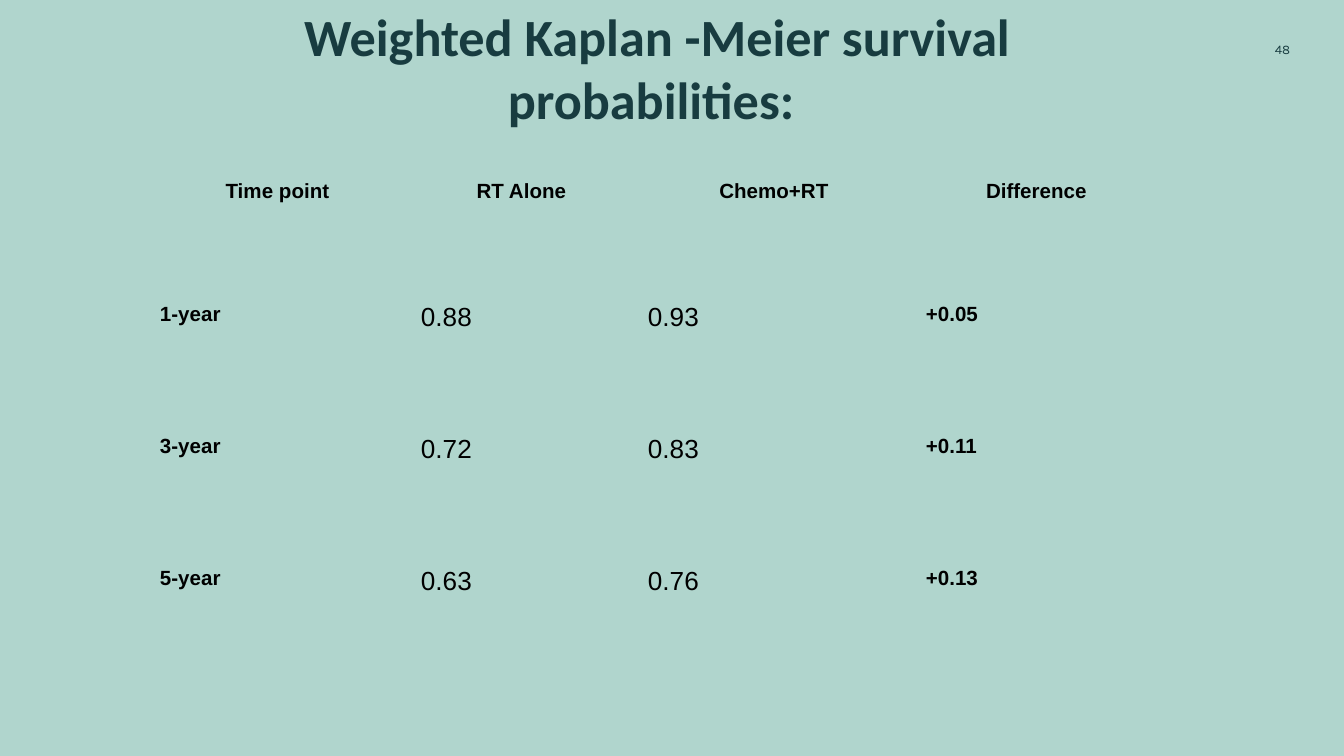
from pptx import Presentation
from pptx import util as u
from pptx.dml.color import RGBColor
from pptx.enum import text

PX = 914400 / 134.4
PLAIN_TABLE_STYLE = "{2D5ABB26-0587-4C30-8999-92F81FD0307C}"
TEAL = "183C40"
BLACK = "000000"
HEADER = ("Time point", "RT Alone", "Chemo+RT", "Difference")
SURVIVAL = (
    ("1-year", "0.88", "0.93", "+0.05"),
    ("3-year", "0.72", "0.83", "+0.11"),
    ("5-year", "0.63", "0.76", "+0.13"),
)
COLUMN_WIDTHS = (261, 227, 278, 247)
ROW_HEIGHTS = (126, 132, 132, 132)


def px(length):
    return u.Emu(round(length * PX))


def color(hex_value):
    return RGBColor.from_string(hex_value)


def format_text(para, size, font, hex_value, bold=False, align=None):
    para.alignment = align
    for span in para.runs:
        span.font.size = u.Pt(size)
        span.font.name = font
        span.font.bold = bold
        span.font.color.rgb = color(hex_value)


def set_margins(frame, left, top, right, bottom):
    frame.margin_left, frame.margin_top = px(left), px(top)
    frame.margin_right, frame.margin_bottom = px(right), px(bottom)


def add_title(page, words):
    """Fill the title placeholder; its margins lift the text above the table."""
    title = page.shapes.title
    title.left, title.top, title.width, title.height = map(px, (165, 32, 1012, 190))
    frame = title.text_frame
    frame.text = words
    frame.word_wrap = True
    frame.auto_size = text.MSO_AUTO_SIZE.NONE
    frame.vertical_anchor = text.MSO_ANCHOR.MIDDLE
    set_margins(frame, 0, 0, 28, 120)
    para = frame.paragraphs[0]
    para.line_spacing = 1.0
    format_text(para, 28, "Calibri", TEAL, True, text.PP_ALIGN.CENTER)


def add_page_number(page, number):
    box = page.shapes.add_textbox(px(1210), px(32), px(80), px(35))
    frame = box.text_frame
    frame.text = number
    frame.word_wrap = True
    frame.vertical_anchor = text.MSO_ANCHOR.MIDDLE
    set_margins(frame, 0, 13, 0, 13)
    format_text(frame.paragraphs[0], 7, "Karla", TEAL, align=text.PP_ALIGN.RIGHT)


def fill_cell(cell, words, is_header, is_value):
    cell.text = words
    cell.fill.background()
    set_margins(cell, 13, 13, 13, 13)
    para = cell.text_frame.paragraphs[0]
    if is_header:
        para.line_spacing = 1.15
    align = text.PP_ALIGN.CENTER if is_header else text.PP_ALIGN.LEFT
    format_text(para, 14 if is_value else 11, "Arial", BLACK, not is_value, align)


def add_survival_table(page):
    rows = (HEADER, *SURVIVAL)
    frame = page.shapes.add_table(len(rows), len(HEADER), px(147), px(164),
                                  px(sum(COLUMN_WIDTHS)), px(sum(ROW_HEIGHTS)))
    table = frame.table
    table.first_row = table.horz_banding = False
    table._tbl.tblPr.find("{*}tableStyleId").text = PLAIN_TABLE_STYLE
    for column, width in zip(table.columns, COLUMN_WIDTHS):
        column.width = px(width)
    for r, (row, height) in enumerate(zip(rows, ROW_HEIGHTS)):
        table.rows[r].height = px(height)
        for c, words in enumerate(row):
            fill_cell(table.cell(r, c), words, r == 0, r > 0 and c in (1, 2))


def main():
    deck = Presentation()
    deck.slide_width, deck.slide_height = px(1344), px(756)
    page = deck.slides.add_slide(deck.slide_layouts[5])
    page.background.fill.solid()
    page.background.fill.fore_color.rgb = color("B0D5CD")
    add_page_number(page, "48")
    add_title(page, "Weighted Kaplan -Meier survival probabilities: ")
    add_survival_table(page)
    deck.save("out.pptx")


if __name__ == "__main__":
    main()
